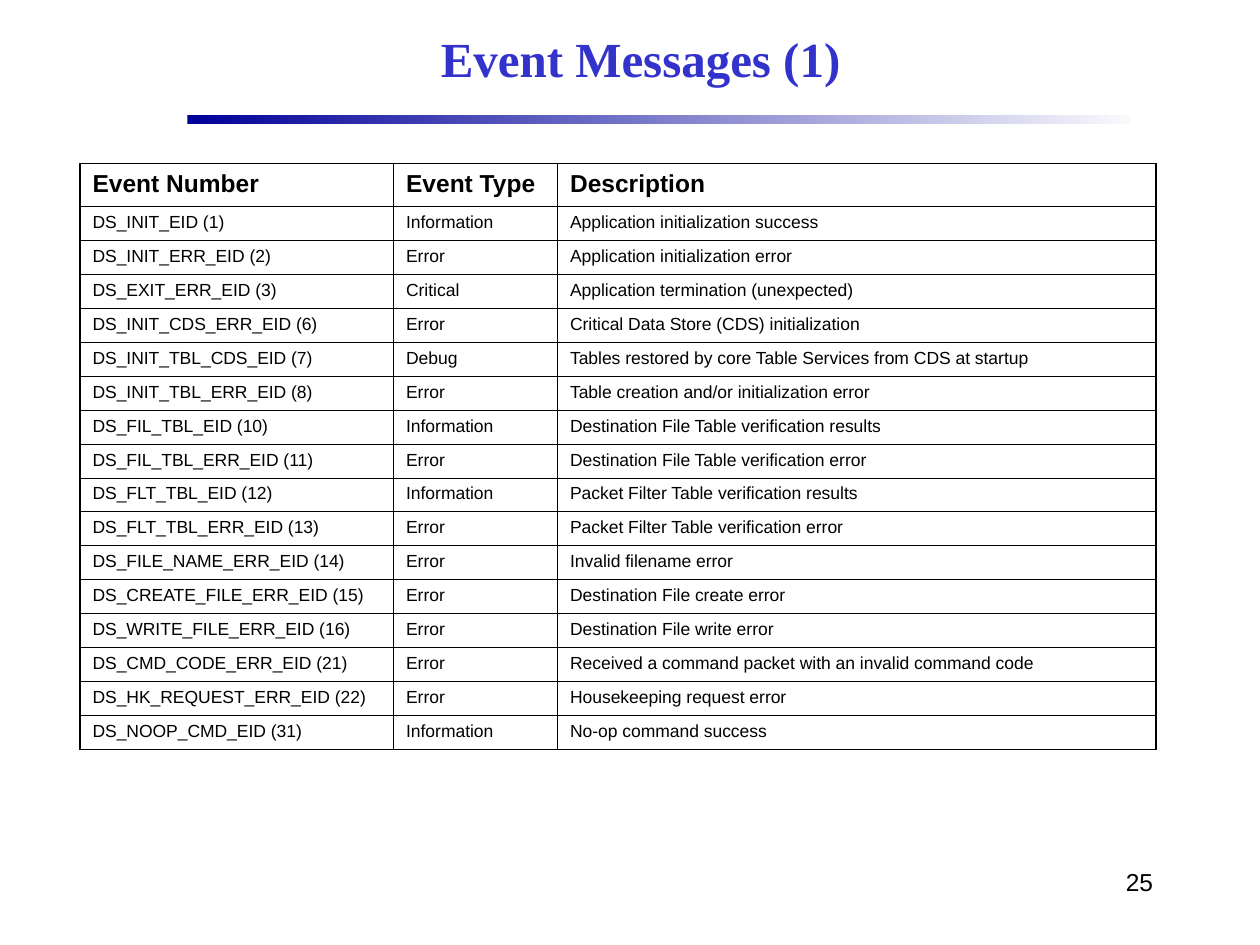
from lxml import etree
from pptx import Presentation
from pptx.dml.color import RGBColor
from pptx.enum.shapes import MSO_SHAPE
from pptx.enum.text import MSO_ANCHOR, PP_ALIGN
from pptx.oxml.ns import qn
from pptx.util import Pt

RECT = MSO_SHAPE.RECTANGLE
TOP, MIDDLE = MSO_ANCHOR.TOP, MSO_ANCHOR.MIDDLE
LEFT, CENTER, RIGHT = PP_ALIGN.LEFT, PP_ALIGN.CENTER, PP_ALIGN.RIGHT

BLACK = "000000"
THIN, THICK = 0.45, 1.08
COLS = [179.2, 93.7, 342]
HEAD_H, ROW_H = 24.6, 19.4

TITLE = {"name": "Times New Roman", "size": Pt(28), "bold": True}
HEAD = {"name": "Arial", "size": Pt(14), "bold": True}
BODY = {"name": "Arial", "size": Pt(10), "bold": False}
PAGE = {"name": "Arial", "size": Pt(14), "bold": False}

EVENTS = [
    ("Event Number", "Event Type", "Description"),
    ("DS_INIT_EID (1)", "Information", "Application initialization success"),
    ("DS_INIT_ERR_EID (2)", "Error", "Application initialization error"),
    ("DS_EXIT_ERR_EID (3)", "Critical", "Application termination (unexpected)"),
    ("DS_INIT_CDS_ERR_EID (6)", "Error", "Critical Data Store (CDS) initialization"),
    ("DS_INIT_TBL_CDS_EID (7)", "Debug",
     "Tables restored by core Table Services from CDS at startup"),
    ("DS_INIT_TBL_ERR_EID (8)", "Error", "Table creation and/or initialization error"),
    ("DS_FIL_TBL_EID (10)", "Information", "Destination File Table verification results"),
    ("DS_FIL_TBL_ERR_EID (11)", "Error", "Destination File Table verification error"),
    ("DS_FLT_TBL_EID (12)", "Information", "Packet Filter Table verification results"),
    ("DS_FLT_TBL_ERR_EID (13)", "Error", "Packet Filter Table verification error"),
    ("DS_FILE_NAME_ERR_EID (14)", "Error", "Invalid filename error"),
    ("DS_CREATE_FILE_ERR_EID (15)", "Error", "Destination File create error"),
    ("DS_WRITE_FILE_ERR_EID (16)", "Error", "Destination File write error"),
    ("DS_CMD_CODE_ERR_EID (21)", "Error",
     "Received a command packet with an invalid command code"),
    ("DS_HK_REQUEST_ERR_EID (22)", "Error", "Housekeeping request error"),
    ("DS_NOOP_CMD_EID (31)", "Information", "No-op command success"),
]


def color(code):
    return RGBColor.from_string(code)


def write(frame, text, style, ink=BLACK, align=LEFT, before=0):
    """Fill a text frame with one formatted paragraph."""
    para = frame.paragraphs[0]
    para.alignment = align
    para.space_before = Pt(before)
    run = para.add_run()
    run.text = text
    for key, value in style.items():
        setattr(run.font, key, value)
    run.font.color.rgb = color(ink)


def add_label(slide, box, text, style, ink, align, anchor):
    frame = slide.shapes.add_textbox(*map(Pt, box)).text_frame
    frame.word_wrap = True
    frame.vertical_anchor = anchor
    write(frame, text, style, ink, align)


def add_rule(slide, box):
    """Draw the bar below the title, fading to the right."""
    bar = slide.shapes.add_shape(RECT, *map(Pt, box))
    bar.shadow.inherit = False
    bar.line.fill.background()
    bar.fill.gradient()
    bar.fill.gradient_angle = 0
    for stop, (place, code) in zip(bar.fill.gradient_stops,
                                   [(0, "000099"), (1, "F9F9FD")]):
        stop.position = place
        stop.color.rgb = color(code)


def set_borders(cell, widths):
    """Give a cell its border widths, in the order L, R, T, B."""
    props = cell._tc.get_or_add_tcPr()
    for spot, (side, width) in enumerate(zip("LRTB", widths)):
        line = etree.Element(qn(f"a:ln{side}"), w=str(Pt(width)))
        fill = etree.SubElement(line, qn("a:solidFill"))
        etree.SubElement(fill, qn("a:srgbClr"), val=BLACK)
        props.insert(spot, line)


def add_events(slide, left, top):
    """Place the event table with its top left corner at the given point."""
    rows, cols = len(EVENTS), len(COLS)
    heights = [HEAD_H] + [ROW_H] * (rows - 1)
    size = sum(COLS), sum(heights)
    table = slide.shapes.add_table(
        rows, cols, Pt(left), Pt(top), *map(Pt, size)).table
    table.first_row = table.horz_banding = False
    for col, width in zip(table.columns, COLS):
        col.width = Pt(width)
    for r, (row, height) in enumerate(zip(table.rows, heights)):
        row.height = Pt(height)
        style, before = (BODY, 4.4) if r else (HEAD, 6.1)
        for c, cell in enumerate(row.cells):
            write(cell.text_frame, EVENTS[r][c], style, before=before)
            cell.fill.background()
            edges = c == 0, c == cols - 1, r == 0, r == rows - 1
            set_borders(cell, [THICK if edge else THIN for edge in edges])


def main():
    deck = Presentation()
    deck.slide_width, deck.slide_height = Pt(720), Pt(540)
    slide = deck.slides.add_slide(deck.slide_layouts[6])
    add_rule(slide, (107, 66, 539, 5))
    add_label(slide, (516, 492, 150, 36), "25", PAGE, BLACK, RIGHT, TOP)
    add_label(slide, (108, 6, 516, 54), "Event Messages (1)",
              TITLE, "3333CC", CENTER, MIDDLE)
    add_events(slide, 45.7, 93.4)
    deck.save("out.pptx")


if __name__ == "__main__":
    main()
